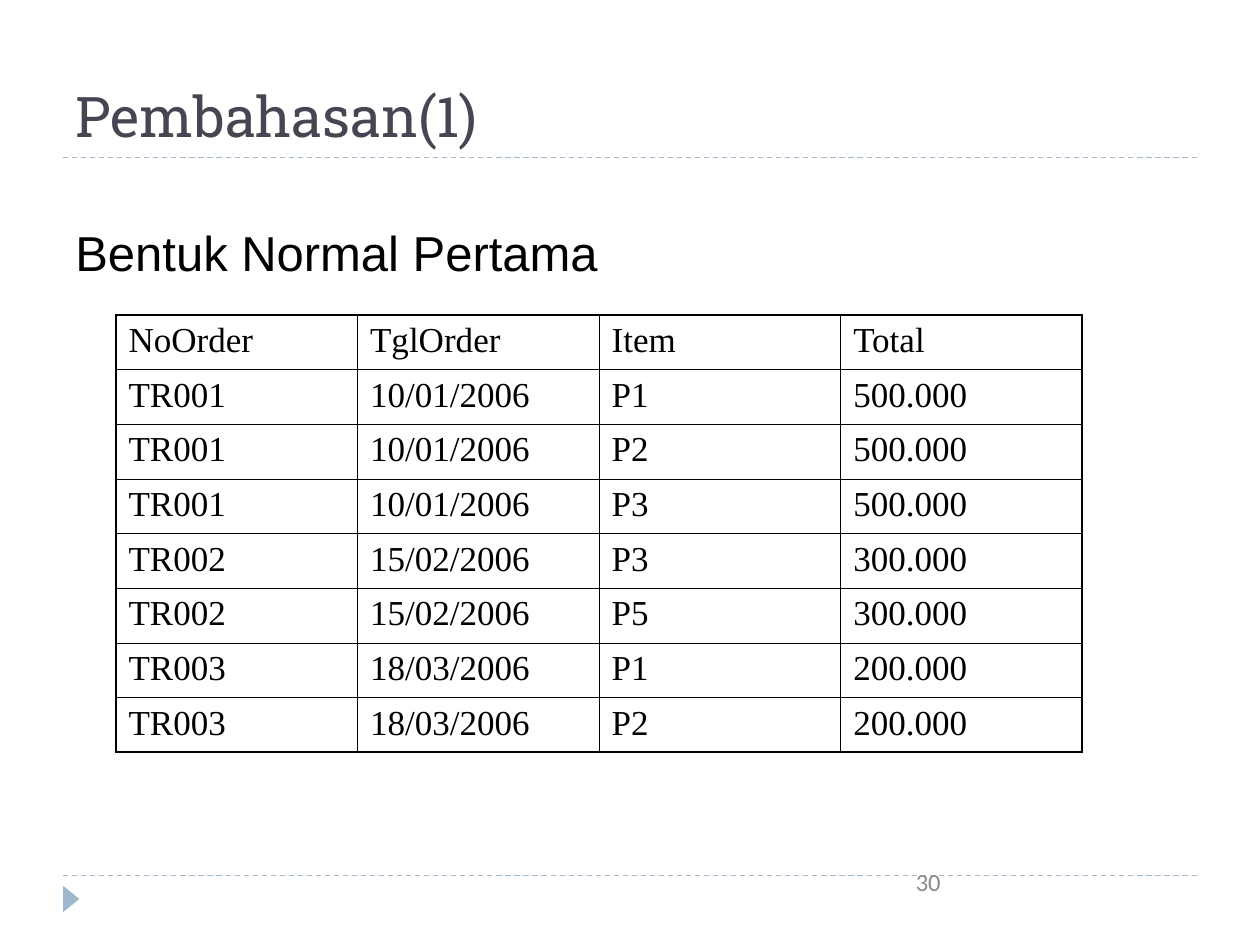
from lxml.etree import SubElement
from pptx import Presentation
from pptx.dml.color import RGBColor
from pptx.enum.dml import MSO_LINE_DASH_STYLE as Dash
from pptx.enum.shapes import MSO_CONNECTOR as Connector, MSO_SHAPE as Shape
from pptx.enum.text import MSO_ANCHOR as Anchor, PP_ALIGN as Align
from pptx.oxml import parse_xml
from pptx.oxml.ns import nsdecls, qn
from pptx.util import Inches, Pt

TITLE = "Pembahasan(1)"
SUBTITLE = "Bentuk Normal Pertama"
PAGE_NUMBER = "30"
ORDERS = [
    ("NoOrder", "TglOrder", "Item", "Total"),
    ("TR001", "10/01/2006", "P1", "500.000"),
    ("TR001", "10/01/2006", "P2", "500.000"),
    ("TR001", "10/01/2006", "P3", "500.000"),
    ("TR002", "15/02/2006", "P3", "300.000"),
    ("TR002", "15/02/2006", "P5", "300.000"),
    ("TR003", "18/03/2006", "P1", "200.000"),
    ("TR003", "18/03/2006", "P2", "200.000"),
]

THEME = {
    "title": {"name": "Roboto Slab", "size": 32, "color": "464653"},
    "subtitle": {"name": "Arial", "size": 28, "color": "000000"},
    "cell": {"name": "Times New Roman", "size": 20, "color": "000000"},
    "page": {"name": "Calibri", "size": 14, "color": "898989"},
    "accent": "9FB8CD",
    "rule_width": 0.75,
    "border": "000000",
    "inner_border": 0.45,
    "outer_border": 1.08,
}

RULE_LEFT, RULE_RIGHT = 0.5, 9.5
RULE_TOPS = (6.95, 1.25)
MARKER_BOX = (0.46, 7.07, 0.21, 0.13)
TITLE_BOX = (0.5, 0.3, 9, 0.93)
SUBTITLE_BOX = (0.5, 1.67, 4.42, 0.67)
TABLE_BOX = (0.92, 2.5, 7.67, 3.47)
PAGE_BOX = (7.17, 6.83, 2.33, 0.52)


def inches(box):
    return [Inches(value) for value in box]


def write(frame, text, style, anchor=Anchor.TOP, top_inset=0.05):
    frame.word_wrap = True
    frame.vertical_anchor = anchor
    frame.margin_left = frame.margin_right = Inches(0.1)
    frame.margin_top, frame.margin_bottom = Inches(top_inset), Inches(0.05)
    paragraph = frame.paragraphs[0]
    paragraph.alignment = Align.LEFT
    run = paragraph.add_run()
    run.text = text
    font = THEME[style]
    formats = {"name": font["name"], "size": Pt(font["size"]), "bold": False}
    for name, value in formats.items():
        setattr(run.font, name, value)
    run.font.color.rgb = RGBColor.from_string(font["color"])


def add_rule(slide, top):
    rule = slide.shapes.add_connector(
        Connector.STRAIGHT, *inches((RULE_LEFT, top, RULE_RIGHT, top)))
    rule.line.color.rgb = RGBColor.from_string(THEME["accent"])
    rule.line.width = Pt(THEME["rule_width"])
    rule.line.dash_style = Dash.DASH
    SubElement(rule._element.spPr, qn("a:effectLst"))


def add_marker(slide):
    marker = slide.shapes.add_shape(Shape.ISOSCELES_TRIANGLE, *inches(MARKER_BOX))
    marker.rotation = 90
    marker.shadow.inherit = False
    marker.fill.solid()
    marker.fill.fore_color.rgb = RGBColor.from_string(THEME["accent"])
    marker.line.fill.background()


def add_text(slide, box, text, style, **options):
    text_box = slide.shapes.add_textbox(*inches(box))
    write(text_box.text_frame, text, style, **options)


def set_borders(cell, outer_sides):
    """Draw four borders; outer_sides maps L, R, T, B to True on the table edge."""
    for index, (side, is_outer) in enumerate(outer_sides.items()):
        width = Pt(THEME["outer_border" if is_outer else "inner_border"])
        border = parse_xml(
            f'<a:ln{side} {nsdecls("a")} w="{width}"><a:solidFill>'
            f'<a:srgbClr val="{THEME["border"]}"/></a:solidFill></a:ln{side}>')
        cell._tc.get_or_add_tcPr().insert(index, border)


def add_order_table(slide):
    row_count, column_count = len(ORDERS), len(ORDERS[0])
    left, top, width, height = inches(TABLE_BOX)
    table = slide.shapes.add_table(
        row_count, column_count, left, top, width, height).table
    table.first_row = table.horz_banding = False
    for column in table.columns:
        column.width = width // column_count
    for row in table.rows:
        row.height = height // row_count
    for r, values in enumerate(ORDERS):
        for c, value in enumerate(values):
            cell = table.cell(r, c)
            cell.fill.background()
            cell.vertical_anchor = Anchor.TOP
            write(cell.text_frame, value, "cell")
            set_borders(cell, {"L": c == 0, "R": c == column_count - 1,
                               "T": r == 0, "B": r == row_count - 1})


def main():
    presentation = Presentation()
    presentation.slide_width, presentation.slide_height = Inches(10), Inches(7.5)
    slide = presentation.slides.add_slide(presentation.slide_layouts[5])
    for top in RULE_TOPS:
        add_rule(slide, top)
    add_marker(slide)
    title = slide.shapes.title
    title.left, title.top, title.width, title.height = inches(TITLE_BOX)
    write(title.text_frame, TITLE, "title", anchor=Anchor.BOTTOM)
    add_text(slide, SUBTITLE_BOX, SUBTITLE, "subtitle", top_inset=0.1)
    add_order_table(slide)
    add_text(slide, PAGE_BOX, PAGE_NUMBER, "page")
    presentation.save("out.pptx")


if __name__ == "__main__":
    main()
